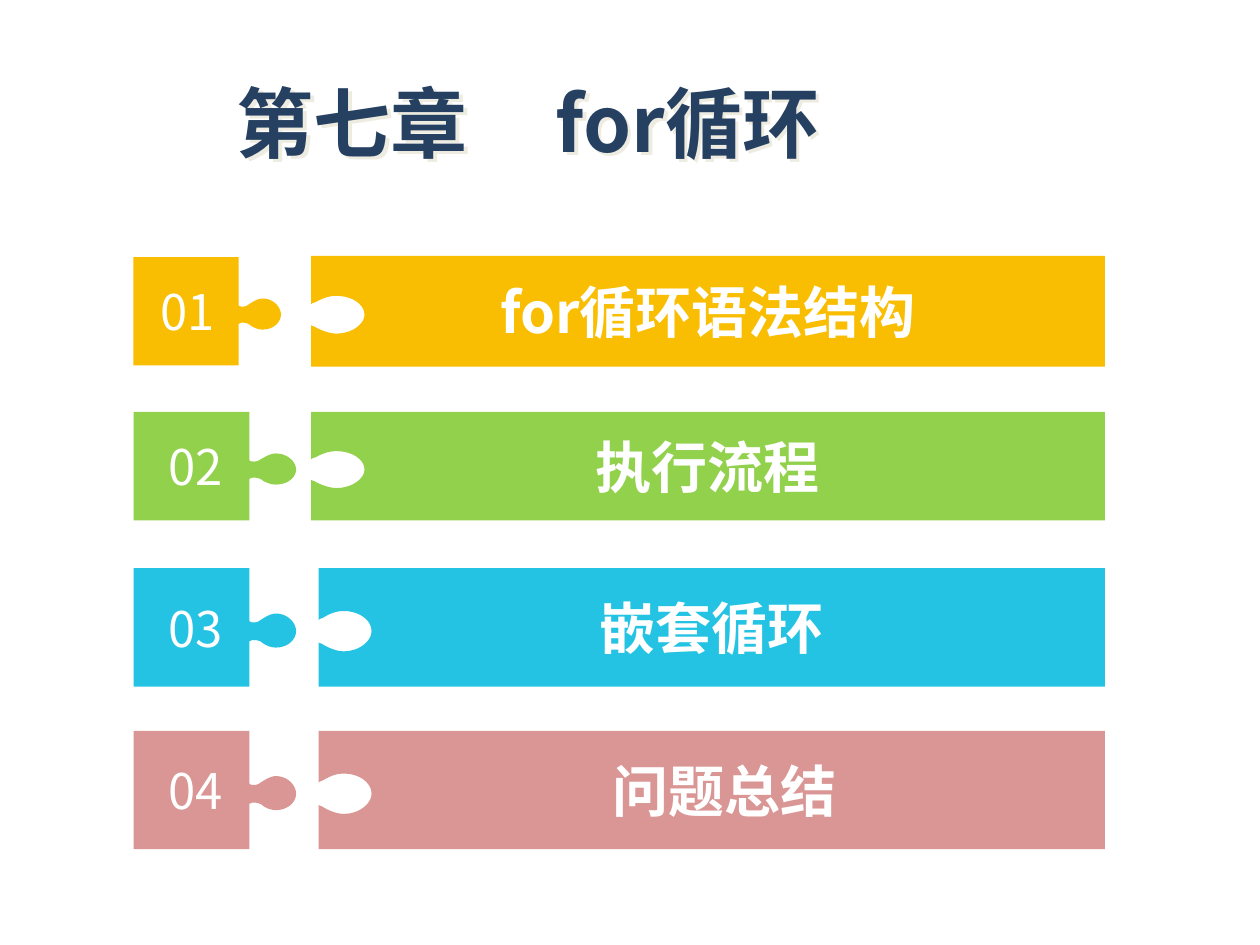
from lxml import etree
from pptx import Presentation
from pptx.dml.color import RGBColor
from pptx.enum.text import MSO_ANCHOR, MSO_AUTO_SIZE, PP_ALIGN
from pptx.oxml.ns import qn
from pptx.util import Inches, Pt

FONT = "Noto Sans CJK SC"
WHITE, NAVY, BEIGE = "FFFFFF", "254061", "EEECE1"
TITLE = "第七章\tfor循环"

# number, heading, colour, (tab top, width, height), (bar left, top, height), extra left inset
ROWS = [
    ("01", "for循环语法结构", "F9BE01", (2.04, 1.17, 0.86), (2.47, 2.03, 0.88), 0),
    ("02", "执行流程", "92D14C", (3.27, 1.29, 0.86), (2.47, 3.27, 0.86), 0),
    ("03", "嵌套循环", "25C3E3", (4.51, 1.29, 0.94), (2.53, 4.51, 0.94), 0),
    ("04", "问题总结", "D99694", (5.8, 1.29, 0.94), (2.53, 5.8, 0.94), 0.2),
]
TAB_LEFT, BAR_RIGHT = 1.06, 8.77

# Outlines drawn at a base size: straight corners, then Bezier curves along the puzzle joint.
TAB = dict(
    size=(1.29, 0.94),
    corners=[(0.92, 0.94), (0, 0.94), (0, 0), (0.92, 0)],
    start=(0.92, 0.42),
    curves=[
        ((0.93, 0.43), (0.94, 0.43), (0.96, 0.43)),
        ((0.98, 0.43), (1, 0.42), (1.01, 0.41)),
        ((1.03, 0.4), (1.08, 0.36), (1.13, 0.36)),
        ((1.22, 0.36), (1.29, 0.43), (1.29, 0.5)),
        ((1.29, 0.57), (1.22, 0.63), (1.13, 0.63)),
        ((1.08, 0.63), (1.03, 0.6), (1.02, 0.59)),
        ((1.01, 0.58), (0.98, 0.57), (0.96, 0.57)),
        ((0.94, 0.57), (0.94, 0.57), (0.92, 0.58)),
    ],
)
BAR = dict(
    size=(6.25, 0.94),
    corners=[(0, 0.94), (6.25, 0.94), (6.25, 0), (0, 0)],
    start=(0, 0.41),
    curves=[
        ((0.01, 0.4), (0.02, 0.4), (0.04, 0.39)),
        ((0.09, 0.36), (0.14, 0.34), (0.2, 0.34)),
        ((0.32, 0.34), (0.42, 0.41), (0.42, 0.5)),
        ((0.42, 0.58), (0.32, 0.66), (0.2, 0.66)),
        ((0.13, 0.66), (0.06, 0.62), (0.04, 0.61)),
        ((0.03, 0.6), (0.02, 0.6), (0, 0.59)),
    ],
)


def rgb(value):
    return RGBColor.from_string(value)


def outline_points(outline, steps=10):
    """Return the corners followed by evenly sampled points of each curve."""
    p0 = outline["start"]
    points = outline["corners"] + [p0]
    for p1, p2, p3 in outline["curves"]:
        for i in range(1, steps + 1):
            t = i / steps
            weights = ((1 - t) ** 3, 3 * t * (1 - t) ** 2, 3 * t * t * (1 - t), t ** 3)
            points.append(tuple(
                sum(w * p[axis] for w, p in zip(weights, (p0, p1, p2, p3)))
                for axis in (0, 1)))
        p0 = p3
    return points


def set_text(tf, text, size, color, bold=False, align=PP_ALIGN.CENTER,
             anchor=MSO_ANCHOR.MIDDLE, left=0.1, right=0.1):
    tf.word_wrap = True
    tf.auto_size = MSO_AUTO_SIZE.NONE
    tf.vertical_anchor = anchor
    tf.margin_left, tf.margin_right = Inches(left), Inches(right)
    tf.margin_top = tf.margin_bottom = Inches(0.05)
    p = tf.paragraphs[0]
    p.text = text
    p.alignment = align
    for r in p.runs:
        r.font.name, r.font.size, r.font.bold = FONT, Pt(size), bold
        r.font.color.rgb = rgb(color)
        ea = etree.SubElement(r.font._element, qn("a:ea"))
        ea.set("typeface", FONT)
    return p


def add_piece(shapes, outline, left, top, width, height, color):
    sx, sy = width / outline["size"][0], height / outline["size"][1]
    points = [(Inches(left + x * sx), Inches(top + y * sy))
              for x, y in outline_points(outline)]
    builder = shapes.build_freeform(*points[0])
    builder.add_line_segments(points[1:], close=True)
    sp = builder.convert_to_shape()
    sp.shadow.inherit = False
    sp.fill.solid()
    sp.fill.fore_color.rgb = rgb(color)
    sp.line.fill.background()
    return sp


def add_title(s):
    sp = s.shapes.title
    sp.left, sp.top, sp.width, sp.height = map(Inches, (1.35, 0.63, 6.54, 0.74))
    p = set_text(sp.text_frame, TITLE, 44, NAVY, bold=True, align=PP_ALIGN.LEFT,
                 anchor=MSO_ANCHOR.TOP, left=0.53)
    p.line_spacing = 0.9
    tabs = etree.SubElement(p._p.get_or_add_pPr(), qn("a:tabLst"))
    etree.SubElement(tabs, qn("a:tab"), pos=str(Inches(2.53)), algn="l")
    effects = etree.SubElement(sp._element.spPr, qn("a:effectLst"))
    shadow = etree.SubElement(effects, qn("a:outerShdw"),
                              dist=str(Pt(2.8)), dir="2700000", algn="ctr")
    etree.SubElement(shadow, qn("a:srgbClr"), val=BEIGE)


def main():
    prs = Presentation()
    prs.slide_width, prs.slide_height = Inches(10), Inches(7.5)
    s = prs.slides.add_slide(prs.slide_layouts[5])
    add_title(s)
    for number, heading, color, tab, bar, indent in ROWS:
        tab_top, tab_width, tab_height = tab
        sp = add_piece(s.shapes, TAB, TAB_LEFT, tab_top, tab_width, tab_height, color)
        set_text(sp.text_frame, number, 28, WHITE, left=0, right=0.31)
        left, top, height = bar
        sp = add_piece(s.shapes, BAR, left, top, BAR_RIGHT - left, height, color)
        set_text(sp.text_frame, heading, 32, WHITE, bold=True, left=0.1 + indent)
    prs.save("out.pptx")


if __name__ == "__main__":
    main()
